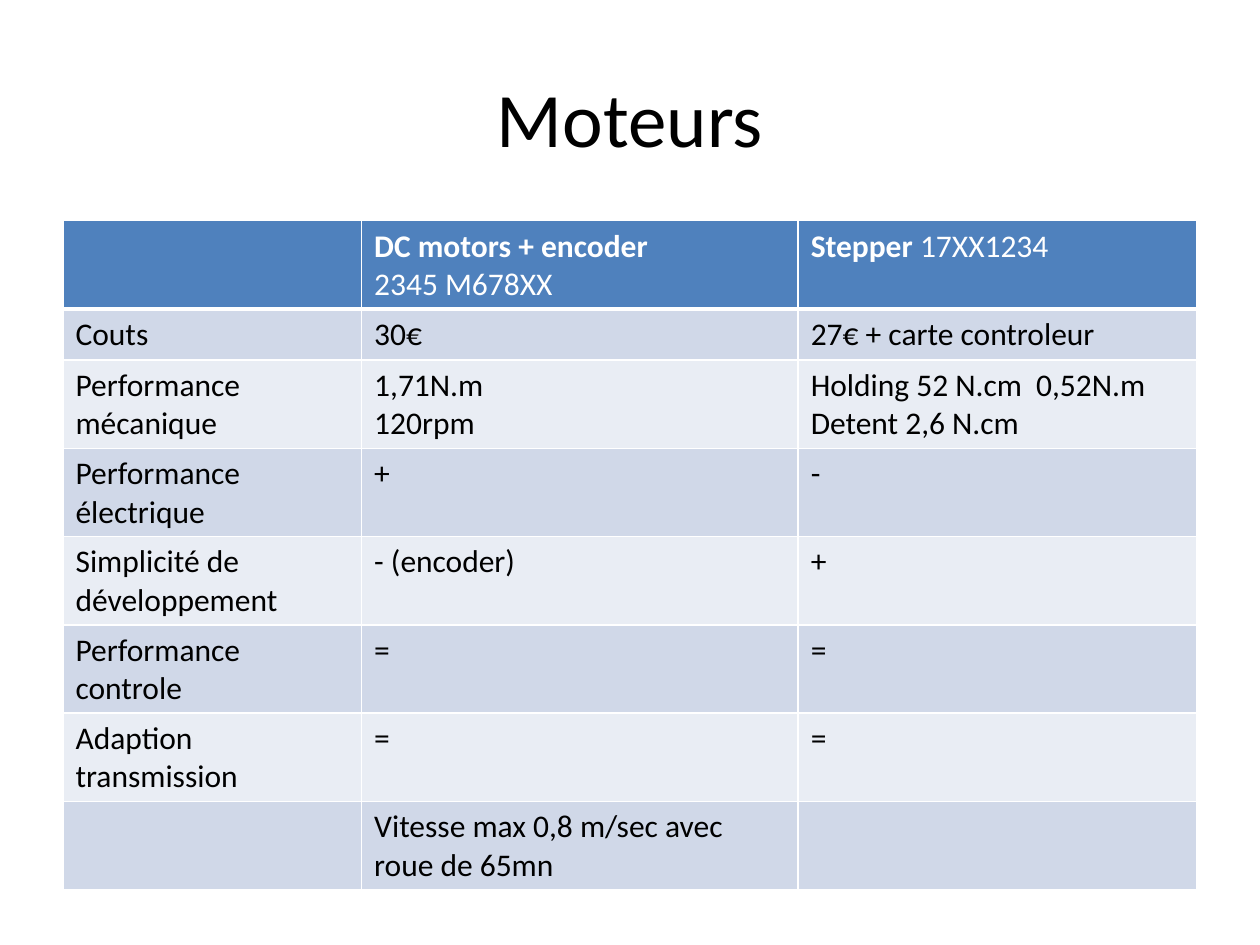
import pptx
import pptx.dml.color
import pptx.enum.text
import pptx.oxml
import pptx.oxml.ns
import pptx.util

Cm = pptx.util.Cm
Pt = pptx.util.Pt
RGBColor = pptx.dml.color.RGBColor

BLACK = RGBColor(0x00, 0x00, 0x00)
WHITE = RGBColor(0xFF, 0xFF, 0xFF)
HEADER_BLUE = RGBColor(0x4F, 0x81, 0xBD)
BAND_DARK = RGBColor(0xD0, 0xD8, 0xE8)
BAND_LIGHT = RGBColor(0xE9, 0xED, 0xF4)
FONT = "Calibri"

COLUMN_WIDTHS = (6.02, 8.8, 8.04)
ROW_HEIGHT = 1.03
HEADINGS = (
    (),
    ((("DC motors + encoder", True),), (("2345 M678XX", False),)),
    ((("Stepper ", True), ("17XX1234", False)),),
)
CRITERIA = (
    ("Couts", "30€", "27€ + carte controleur"),
    ("Performance mécanique", "1,71N.m\n120rpm", "Holding 52 N.cm  0,52N.m\nDetent 2,6 N.cm"),
    ("Performance électrique", "+", "-"),
    ("Simplicité de développement", "- (encoder)", "+"),
    ("Performance controle", "=", "="),
    ("Adaption transmission", "=", "="),
    ("", "Vitesse max 0,8 m/sec avec roue de 65mn", ""),
)


def style_font(font, size, color, bold=False):
    """Apply the slide's typeface with a size, colour and weight."""
    font.name = FONT
    font.size = Pt(size)
    font.bold = bold
    font.color.rgb = color


def set_borders(cell, bottom_width):
    """Draw white cell borders, with the bottom one of the given width."""
    properties = cell._tc.get_or_add_tcPr()
    sides = (("lnL", 1), ("lnR", 1), ("lnT", 1), ("lnB", bottom_width))
    for position, (side, width) in enumerate(sides):
        properties.insert(position, pptx.oxml.parse_xml(
            f'<a:{side} {pptx.oxml.ns.nsdecls("a")} w="{Pt(width)}">'
            f'<a:solidFill><a:srgbClr val="{WHITE}"/></a:solidFill></a:{side}>'))


def fill_cell(cell, paragraphs, background, text_color, bottom_width=1):
    """Fill a cell with paragraphs made of (text, bold) runs."""
    cell.fill.solid()
    cell.fill.fore_color.rgb = background
    set_borders(cell, bottom_width)
    frame = cell.text_frame
    style_font(frame.paragraphs[0].font, 18, text_color)
    for index, pieces in enumerate(paragraphs):
        paragraph = frame.add_paragraph() if index else frame.paragraphs[0]
        for text, bold in pieces:
            run = paragraph.add_run()
            run.text = text
            style_font(run.font, 18, text_color, bold)


def add_title(slide, left, top, width, height):
    """Place the centred slide title in its box."""
    title = slide.shapes.add_textbox(left, top, width, height).text_frame
    title.word_wrap = True
    title.vertical_anchor = pptx.enum.text.MSO_ANCHOR.MIDDLE
    title.text = "Moteurs"
    heading = title.paragraphs[0]
    heading.alignment = pptx.enum.text.PP_ALIGN.CENTER
    style_font(heading.runs[0].font, 44, BLACK)


def add_comparison(slide, left, top, width, height):
    """Place the motor comparison table in its box."""
    frame = slide.shapes.add_table(
        len(CRITERIA) + 1, len(COLUMN_WIDTHS), left, top, width, height)
    comparison = frame.table
    comparison.first_row = False
    comparison.horz_banding = False
    for column, share in zip(comparison.columns, COLUMN_WIDTHS):
        column.width = int(width * share / sum(COLUMN_WIDTHS))
    for row in comparison.rows:
        row.height = Cm(ROW_HEIGHT)
    frame.height = height
    for column, heading in enumerate(HEADINGS):
        fill_cell(comparison.cell(0, column), heading, HEADER_BLUE, WHITE, 3)
    for row, criterion in enumerate(CRITERIA, start=1):
        band = BAND_DARK if row % 2 else BAND_LIGHT
        for column, entry in enumerate(criterion):
            lines = [((line, False),) for line in entry.splitlines()]
            fill_cell(comparison.cell(row, column), lines, band, BLACK)


def build():
    """Build and save the motor comparison slide."""
    deck = pptx.Presentation()
    deck.slide_width = Cm(25.4)
    deck.slide_height = Cm(19.05)
    slide = deck.slides.add_slide(deck.slide_layouts[6])
    add_title(slide, Cm(1.27), Cm(0.76), Cm(22.86), Cm(3.18))
    add_comparison(slide, Cm(1.27), Cm(4.45), Cm(22.86), Cm(13.49))
    deck.save("out.pptx")


build()
